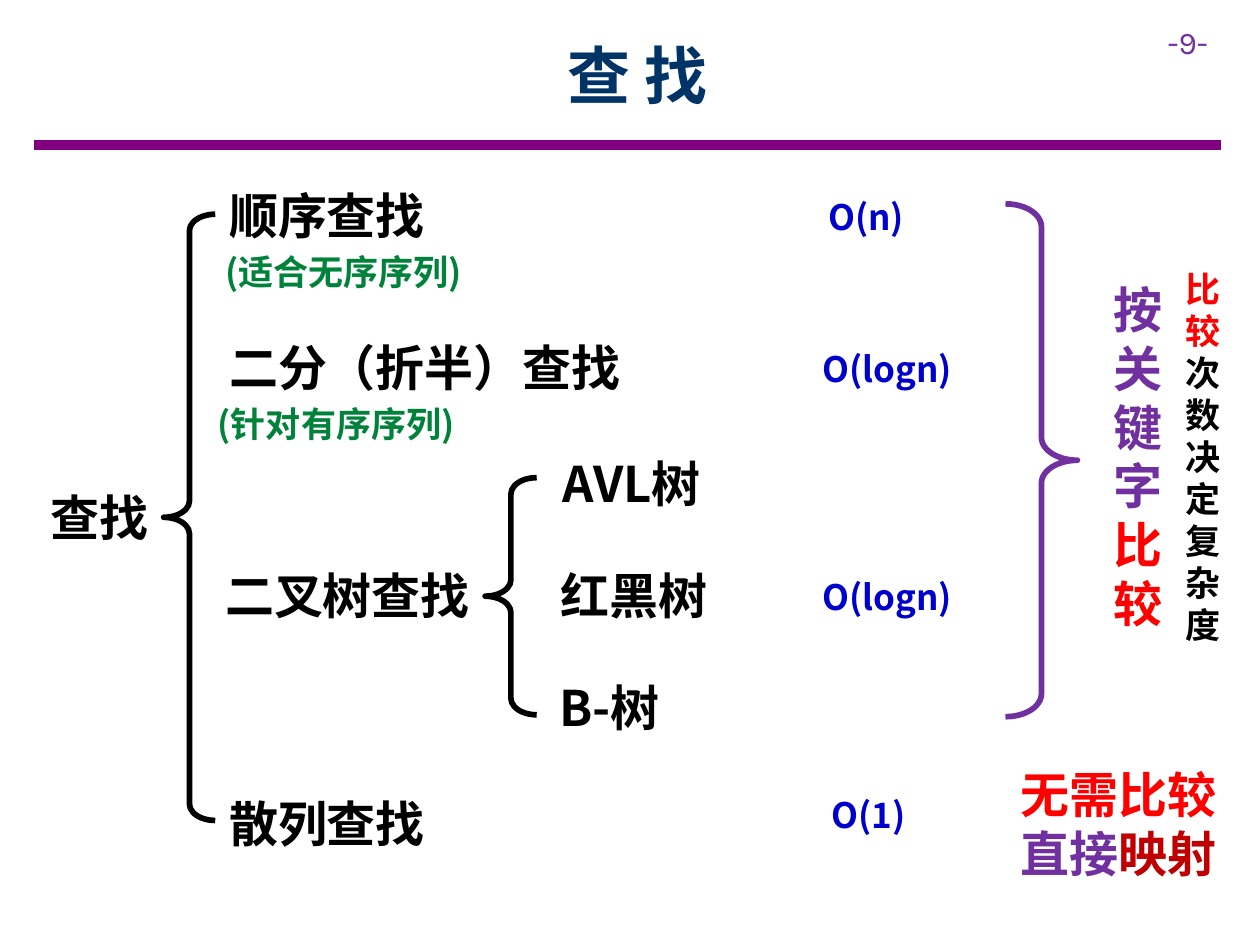
from lxml.etree import SubElement
from pptx import Presentation
from pptx.dml.color import RGBColor
from pptx.enum.lang import MSO_LANGUAGE_ID
from pptx.enum.shapes import MSO_CONNECTOR, MSO_SHAPE
from pptx.enum.text import MSO_ANCHOR, PP_ALIGN
from pptx.oxml.ns import qn
from pptx.util import Cm, Pt

CJK_FONT = "Noto Sans CJK SC"
NUMBER_FONT = "Karla"
BLACK = RGBColor(0x00, 0x00, 0x00)
WHITE = RGBColor(0xFF, 0xFF, 0xFF)
NAVY = RGBColor(0x00, 0x33, 0x66)
BLUE = RGBColor(0x00, 0x00, 0xCC)
GREEN = RGBColor(0x00, 0x82, 0x3B)
PURPLE = RGBColor(0x70, 0x30, 0xA0)
RULE_PURPLE = RGBColor(0x80, 0x00, 0x80)
RED = RGBColor(0xFF, 0x00, 0x00)
DARK_RED = RGBColor(0xC0, 0x00, 0x00)

MAIN = {"size": Pt(28), "bold": True, "name": CJK_FONT}
SMALL = {**MAIN, "size": Pt(20)}
TITLE = {**MAIN, "size": Pt(36)}
NUMBER = {"size": Pt(18), "bold": False, "name": NUMBER_FONT}
MAIN_H, SMALL_H = 1.45, 1.12


def add_text(s, x, y, w, h, paragraphs, style, align=PP_ALIGN.LEFT, anchor=MSO_ANCHOR.TOP):
    """Place a text box; each paragraph is a list of (text, colour) runs."""
    tf = s.shapes.add_textbox(Cm(x), Cm(y), Cm(w), Cm(h)).text_frame
    tf.word_wrap = True
    tf.vertical_anchor = anchor
    for i, runs in enumerate(paragraphs):
        p = tf.add_paragraph() if i else tf.paragraphs[0]
        p.alignment = align
        for text, color in runs:
            r = p.add_run()
            r.text = text
            for key, value in style.items():
                setattr(r.font, key, value)
            r.font.language_id = MSO_LANGUAGE_ID.SIMPLIFIED_CHINESE
            r.font.color.rgb = color
            SubElement(r.font._element, qn("a:ea"), typeface=style["name"])


def add_brace(s, kind, x, y, w, h, color):
    sp = s.shapes.add_shape(kind, Cm(x), Cm(y), Cm(w), Cm(h))
    sp.shadow.inherit = False
    sp.adjustments[0] = 0.318
    sp.adjustments[1] = 0.5
    sp.fill.solid()
    sp.fill.fore_color.rgb = WHITE
    sp.line.color.rgb = color
    sp.line.width = Pt(3.25)


def add_header(s, x, y, w, h):
    rule = s.shapes.add_connector(
        MSO_CONNECTOR.STRAIGHT, Cm(x), Cm(y + h), Cm(x + w), Cm(y + h))
    rule.line.color.rgb = RULE_PURPLE
    rule.line.width = Pt(6)
    SubElement(rule._element.spPr, qn("a:effectLst"))
    add_text(s, x + 22.6, y + 0.33, 2.11, 1.02, [[("-9-", PURPLE)]], NUMBER)
    add_text(s, x + 1.6, y + 0.23, 21.11, 2.54, [[("查 找", NAVY)]], TITLE,
             PP_ALIGN.CENTER, MSO_ANCHOR.MIDDLE)


def add_search_methods(s, x, y):
    add_text(s, x - 0.2, y + 6.09, 4.4, MAIN_H, [[("查找", BLACK)]], MAIN, PP_ALIGN.CENTER)
    add_brace(s, MSO_SHAPE.LEFT_BRACE, x + 3.3, y + 0.71, 1.04, 12.22, BLACK)
    for text, dx, dy, w in [
        ("顺序查找", 4.37, 0, 5.03),
        ("二分（折半）查找", 4.37, 3.07, 8.53),
        ("二叉树查找", 4.29, 7.67, 5.49),
        ("散列查找", 4.37, 12.27, 6.4),
    ]:
        add_text(s, x + dx, y + dy, w, MAIN_H, [[(text, BLACK)]], MAIN)
    for text, dx, dy in [("(适合无序序列)", 4.29, 1.32), ("(针对有序序列)", 4.14, 4.37)]:
        add_text(s, x + dx, y + dy, 6.55, SMALL_H, [[(text, GREEN)]], SMALL)


def add_tree_kinds(s, x, y, pitch):
    add_brace(s, MSO_SHAPE.LEFT_BRACE, x, y + 0.61, 1.04, 4.78, BLACK)
    for i, (text, dx) in enumerate([("AVL树", 1.32), ("红黑树", 1.27), ("B-树", 1.24)]):
        add_text(s, x + dx, y + i * pitch, 5.49, MAIN_H, [[(text, BLACK)]], MAIN)


def add_complexities(s, x, y):
    for text, dx, dy, align in [
        ("O(n)", 0, 0, PP_ALIGN.CENTER),
        ("O(logn)", 0.68, 3.07, PP_ALIGN.LEFT),
        ("O(logn)", 0.68, 7.67, PP_ALIGN.LEFT),
        ("O(1)", 0.05, 12.07, PP_ALIGN.CENTER),
    ]:
        add_text(s, x + dx, y + dy, 3.63, SMALL_H, [[(text, BLUE)]], SMALL, align)


def add_remarks(s, x, y):
    """Brace, two one-character-wide columns and the remark on hashing."""
    add_brace(s, MSO_SHAPE.RIGHT_BRACE, x, y, 1.45, 10.34, PURPLE)
    add_text(s, x + 1.93, y + 1.4, 1.8, 7.44,
             [[("按关键字", PURPLE), ("比较", RED)]], MAIN)
    add_text(s, x + 3.38, y + 1.15, 1.8, 7.95,
             [[("比较", RED), ("次数决定复杂度", BLACK)]], SMALL)
    add_text(s, x + 0.05, y + 11.18, 5.08, 2.64,
             [[("无需比较", RED)], [("直接", PURPLE), ("映射", DARK_RED)]], MAIN)


def main():
    prs = Presentation()
    prs.slide_width, prs.slide_height = Cm(25.4), Cm(19.05)
    s = prs.slides.add_slide(prs.slide_layouts[6])
    add_header(s, 0.69, 0, 23.92, 2.92)
    add_search_methods(s, 0, 3.61)
    add_tree_kinds(s, 9.78, 9.02, 2.26)
    add_complexities(s, 15.65, 3.81)
    add_remarks(s, 20.27, 4.11)
    prs.save("out.pptx")


if __name__ == "__main__":
    main()
